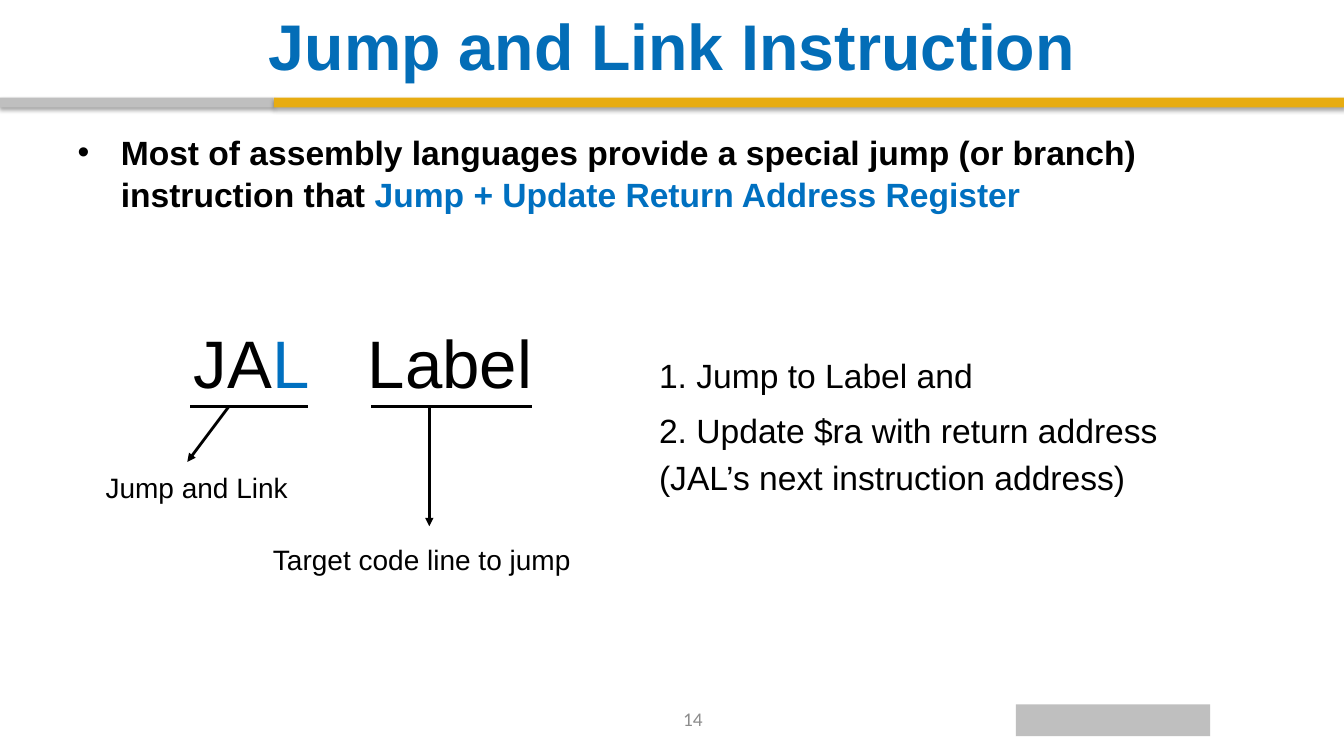
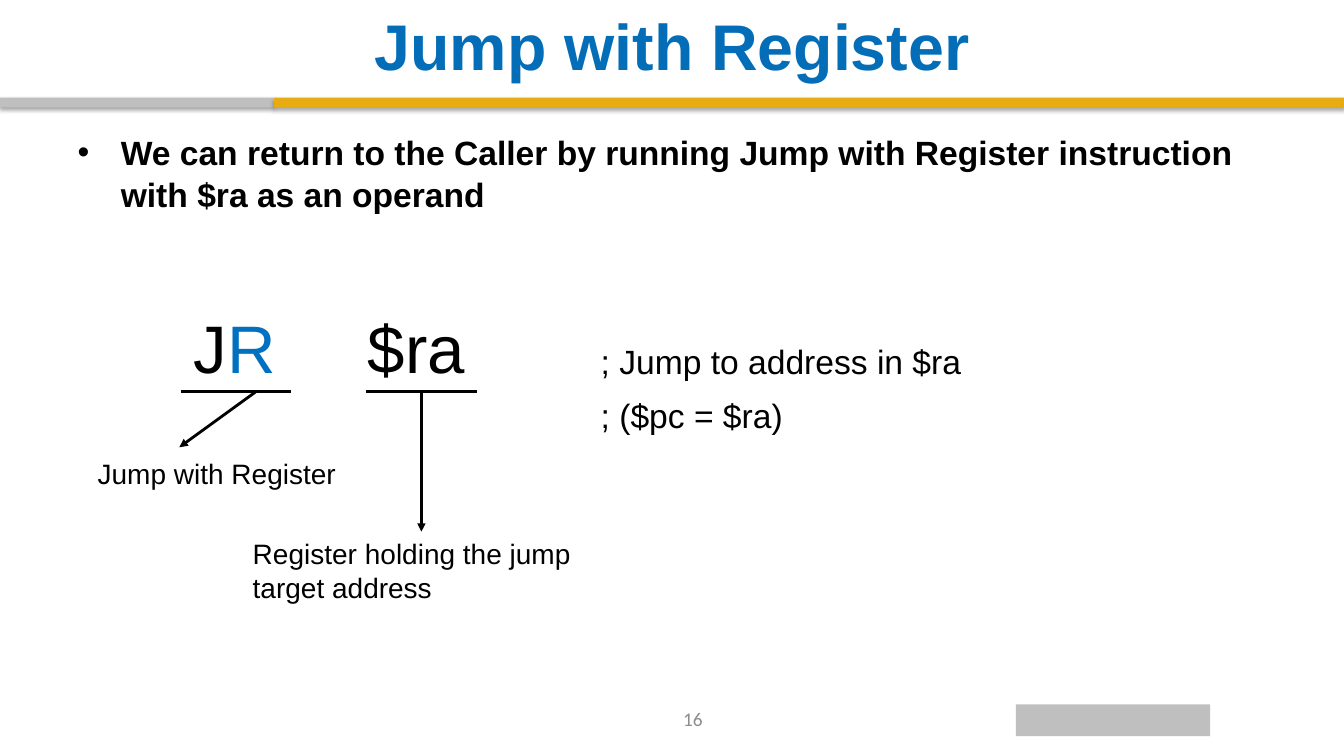
from dataclasses import dataclass

from lxml import etree
from pptx import Presentation
from pptx.dml.color import RGBColor
from pptx.enum.shapes import MSO_CONNECTOR, MSO_SHAPE
from pptx.enum.text import MSO_ANCHOR, MSO_AUTO_SIZE, PP_ALIGN
from pptx.oxml.ns import qn
from pptx.util import Cm, Pt


@dataclass(frozen=True)
class Theme:
    # Colours
    blue: str = "036DB7"
    mark: str = "0070C0"
    gold: str = "E7AC11"
    silver: str = "BFBFBF"
    gray: str = "8C8C8C"
    ink: str = "000000"
    # Fonts and type sizes
    font: str = "Arial"
    foot: str = "Calibri"
    title: float = 46.1
    code: float = 48
    body: float = 24
    label: float = 20
    page: float = 13.8


@dataclass(frozen=True)
class Part:
    """One word of an instruction; lengths in cm from the diagram's corner."""
    runs: list
    left: float
    line: tuple      # underline start and end
    arrow: tuple     # x at tail, x at head, drop
    label: str
    spot: tuple      # label left, gap below the underline


T = Theme()
WIDE, HIGH = 33.87, 19.05
EDGE, SPAN = 1.7, 30.48
RULE = 2.15          # underline below the top of the code


def rgb(code):
    return RGBColor.from_string(code)


# Text helpers
def style(para, size, color=T.ink, font=T.font, bold=False):
    para.font.size = Pt(size)
    para.font.name = font
    para.font.bold = bold
    para.font.color.rgb = rgb(color)


def fill(para, runs):
    for text, color in runs:
        run = para.add_run()
        run.text = text
        if color != T.ink:
            run.font.color.rgb = rgb(color)


def place(shape, left, top, width, height):
    shape.left, shape.top = Cm(left), Cm(top)
    shape.width, shape.height = Cm(width), Cm(height)


def write(slide, box, lines, size, color=T.ink, font=T.font, pad=True,
          align=PP_ALIGN.LEFT, anchor=MSO_ANCHOR.TOP, gaps=()):
    """Add a text box; each line is a list of (text, colour) runs."""
    frame = slide.shapes.add_textbox(*map(Cm, box)).text_frame
    frame.word_wrap = True
    frame.vertical_anchor = anchor
    if not pad:
        frame.margin_left = frame.margin_right = 0
        frame.margin_top = frame.margin_bottom = 0
    for i, runs in enumerate(lines):
        para = frame.add_paragraph() if i else frame.paragraphs[0]
        para.alignment = align
        if i and gaps:
            para.space_before = Pt(gaps[i - 1])
        style(para, size, color, font)
        fill(para, runs)


# Line and block helpers
def stroke(slide, x1, y1, x2, y2, head=False):
    line = slide.shapes.add_connector(
        MSO_CONNECTOR.STRAIGHT, Cm(x1), Cm(y1), Cm(x2), Cm(y2))
    line.line.color.rgb = rgb(T.ink)
    line.line.width = Pt(2)
    props = line.element.spPr
    if head:
        etree.SubElement(props.find(qn("a:ln")), qn("a:tailEnd"),
                         type="triangle")
    etree.SubElement(props, qn("a:effectLst"))


def block(slide, box, color):
    shape = slide.shapes.add_shape(MSO_SHAPE.RECTANGLE, *map(Cm, box))
    shape.fill.solid()
    shape.fill.fore_color.rgb = rgb(color)
    shape.line.fill.background()
    shape.shadow.inherit = False
    return shape


def band(slide, left, width, color):
    bar = block(slide, (left, 2.46, width, 0.25), color)
    shade = etree.SubElement(
        bar.element.spPr.find(qn("a:effectLst")), qn("a:outerShdw"),
        blurRad=str(Pt(3.1)), dist=str(Pt(1.8)), dir="5400000",
        rotWithShape="0")
    tint = etree.SubElement(shade, qn("a:srgbClr"), val=T.ink)
    etree.SubElement(tint, qn("a:alpha"), val="35000")


# Regions
def header(slide, text):
    split = 6.9
    band(slide, 0, split, T.silver)
    band(slide, split, WIDE - split, T.gold)
    title = slide.shapes.title
    place(title, EDGE, 0.17, SPAN, 1.93)
    frame = title.text_frame
    frame.auto_size = MSO_AUTO_SIZE.NONE
    frame.vertical_anchor = MSO_ANCHOR.MIDDLE
    para = frame.paragraphs[0]
    para.text = text
    para.alignment = PP_ALIGN.CENTER
    style(para, T.title, T.blue, bold=True)


def footer(slide, page):
    block(slide, (25.6, 17.75, 4.9, 0.8), T.silver)
    write(slide, (13.51, 17.6, 7.9, 1.02), [[(str(page), T.gray)]],
          T.page, T.gray, T.foot, align=PP_ALIGN.CENTER,
          anchor=MSO_ANCHOR.MIDDLE)


def point(slide, runs):
    body = slide.placeholders[1]
    place(body, EDGE, 3.15, SPAN, 2.6)
    frame = body.text_frame
    frame.auto_size = MSO_AUTO_SIZE.NONE
    para = frame.paragraphs[0]
    hang = Cm(1.09)
    props = para._p.get_or_add_pPr()
    props.set("marL", str(hang))
    props.set("indent", str(-hang))
    etree.SubElement(props, qn("a:buChar"), char="•")
    para.space_before = Pt(0)
    para.line_spacing = 1.04
    style(para, T.body, bold=True)
    fill(para, runs)


def diagram(slide, left, top, parts):
    base = top + RULE
    for part in parts:
        # Word and underline
        write(slide, (left + part.left, top, 5, RULE), [part.runs],
              T.code, pad=False)
        start, end = part.line
        stroke(slide, left + start, base, left + end, base)
        # Arrow and label
        tail, tip, drop = part.arrow
        stroke(slide, left + tail, base, left + tip, base + drop, head=True)
        x, gap = part.spot
        write(slide, (left + x, base + gap, 9.53, 1.14),
              [[(part.label, T.ink)]], T.label)


def notes(slide, left, top, lines):
    write(slide, (left, top, 15, 1.4 * len(lines)),
          [[(line, T.ink)] for line in lines], T.body, pad=False,
          gaps=(10, 5))


def lesson(deck, title, page, lead, top, parts, side, lines):
    slide = deck.slides.add_slide(deck.slide_layouts[1])
    header(slide, title)
    point(slide, lead)
    diagram(slide, EDGE, top, parts)
    notes(slide, EDGE + side, top + 0.86, lines)
    footer(slide, page)


def main():
    deck = Presentation()
    deck.slide_width, deck.slide_height = Cm(WIDE), Cm(HIGH)

    # Jump and link
    lesson(
        deck, "Jump and Link Instruction", 14,
        [("Most of assembly languages provide a special jump (or branch) "
          "instruction that ", T.ink),
         ("Jump + Update Return Address Register", T.mark)],
        8.09,
        [Part([("JA", T.ink), ("L", T.mark)], 3.18, (3.1, 6.07),
              (4.07, 3.02, 1.4), "Jump and Link", (0.71, 1.5)),
         Part([("Label", T.ink)], 7.57, (7.65, 11.71),
              (9.12, 9.12, 3.02), "Target code line to jump", (4.93, 3.3))],
        14.91,
        ["1. Jump to Label and",
         "2. Update $ra with return address",
         "(JAL’s next instruction address)"])

    # Jump with register
    lesson(
        deck, "Jump with Register", 16,
        [("We can return to the Caller by running Jump with Register "
          "instruction with $ra as an operand", T.ink)],
        7.72,
        [Part([("J", T.ink), ("R", T.mark)], 3.18, (2.85, 5.64),
              (4.75, 2.82, 1.4), "Jump with Register", (0.51, 1.5)),
         Part([("$ra", T.ink)], 7.57, (7.52, 10.31),
              (8.92, 8.92, 3.53), "Register holding the jump target address",
              (4.42, 3.53))],
        13.44,
        ["; Jump to address in $ra", "; ($pc = $ra)"])

    deck.save("out.pptx")


if __name__ == "__main__":
    main()
